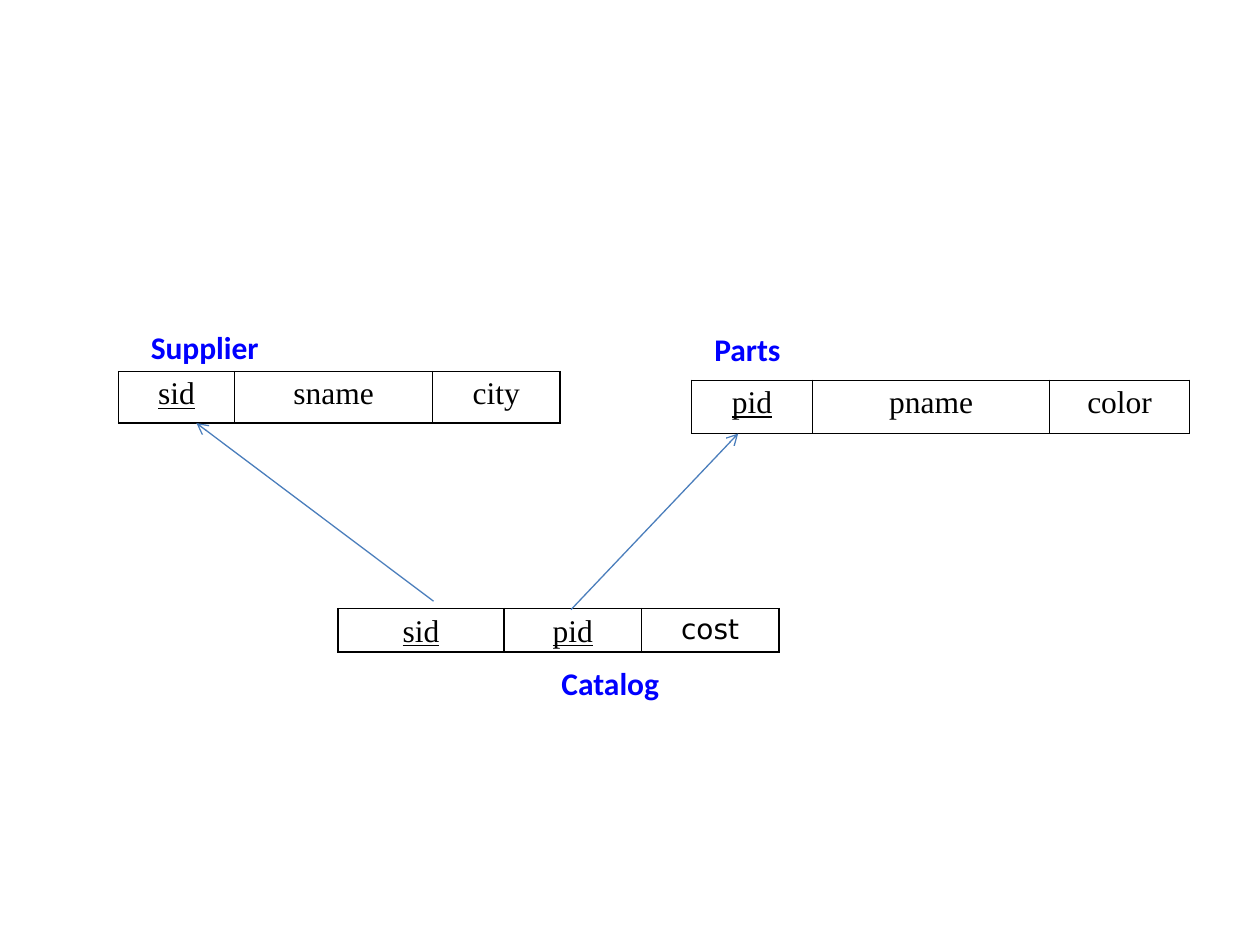
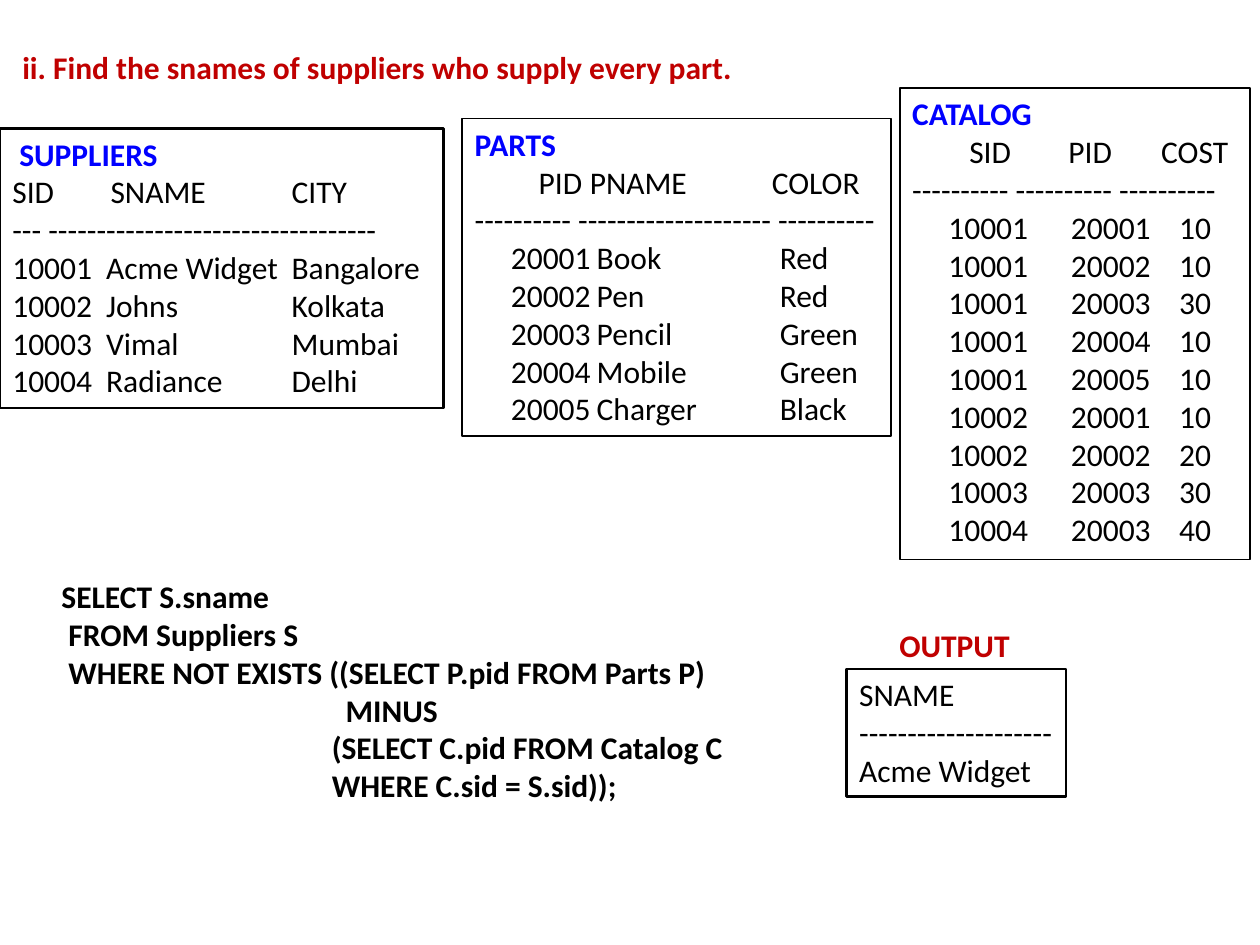
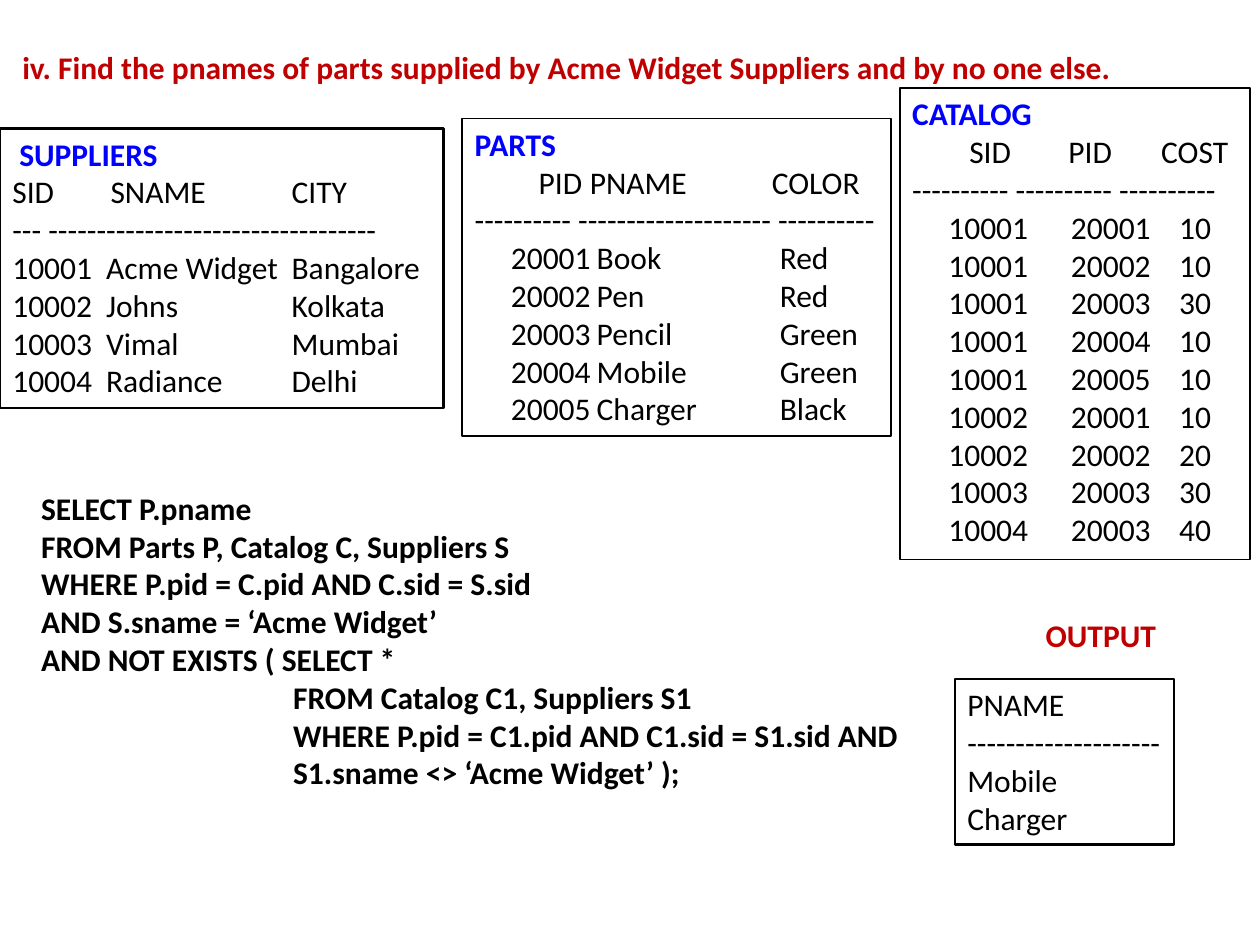
from dataclasses import dataclass

from lxml import etree
from pptx import Presentation
from pptx.dml.color import RGBColor
from pptx.enum.shapes import MSO_CONNECTOR, MSO_SHAPE
from pptx.enum.text import MSO_ANCHOR, PP_ALIGN
from pptx.oxml.ns import qn
from pptx.util import Cm, Pt

STRAIGHT = MSO_CONNECTOR.STRAIGHT
RECTANGLE = MSO_SHAPE.RECTANGLE
TOP = MSO_ANCHOR.TOP
LEFT = PP_ALIGN.LEFT
CENTER = PP_ALIGN.CENTER


@dataclass(frozen=True)
class Theme:
    """Colours, fonts and sizes shared by all slides."""
    ink: str = "000000"
    heading: str = "0000FF"
    accent: str = "C00000"
    arrow: str = "4B7EBC"
    body_font: str = "Calibri"
    field_font: str = "Times New Roman"
    odd_font: str = "DejaVu Sans"
    size: float = 18
    odd_size: float = 16
    thin: float = 1
    thick: float = 1.5
    arrow_width: float = 0.75


@dataclass(frozen=True)
class Box:
    """A region of the slide in centimetres."""
    left: float
    top: float
    width: float
    height: float

    def lengths(self):
        """Return the four lengths for a shape call."""
        return Cm(self.left), Cm(self.top), Cm(self.width), Cm(self.height)

    def offset(self, right, down, width, height):
        """Return a box placed relative to this one."""
        return Box(self.left + right, self.top + down, width, height)


@dataclass(frozen=True)
class Line:
    """One paragraph with its look, indent and tab stops."""
    text: str
    color: str = "000000"
    bold: bool = False
    indent: float = 0
    stops: tuple = ()


@dataclass(frozen=True)
class Listing:
    """A printed relation with tab stops for its header and its rows."""
    title: str
    title_indent: float
    box: Box
    border: float
    header: tuple
    header_stops: tuple
    rule: str
    rows: tuple
    row_stops: tuple
    lead: str


THEME = Theme()
CONTENT = Box(0, 0, 25.4, 19.05)
LABEL_HEIGHT = 1.02

LISTINGS = (
    Listing(
        "CATALOG", 0, Box(18.14, 1.78, 7.06, 9.5), THEME.thin,
        ("SID", "PID", "COST"), (1.15, 3.15, 5.02),
        "---------- ---------- ----------",
        (("10001", "20001", "10"), ("10001", "20002", "10"),
         ("10001", "20003", "30"), ("10001", "20004", "10"),
         ("10001", "20005", "10"), ("10002", "20001", "10"),
         ("10002", "20002", "20"), ("10003", "20003", "30"),
         ("10004", "20003", "40")),
        (0.73, 3.2, 5.38), "\t"),
    Listing(
        "PARTS", 0, Box(9.32, 2.39, 8.64, 6.4), THEME.thin,
        ("PID", "PNAME", "COLOR"), (1.29, 2.32, 5.99),
        "---------- -------------------- ----------",
        (("20001", "Book", "Red"), ("20002", "Pen", "Red"),
         ("20003", "Pencil", "Green"), ("20004", "Mobile", "Green"),
         ("20005", "Charger", "Black")),
        (0.73, 2.46, 6.15), "\t"),
    Listing(
        "SUPPLIERS", 0.14, Box(0, 2.59, 8.94, 5.64), THEME.thick,
        ("SID", "SNAME", "CITY"), (1.98, 5.63),
        "--- ----------------------------------",
        (("10001", "Acme Widget", "Bangalore"), ("10002", "Johns", "Kolkata"),
         ("10003", "Vimal", "Mumbai"), ("10004", "Radiance", "Delhi")),
        (1.89, 5.63), ""),
)

EVERY_PART_QUERY = (
    (0, "SELECT S.sname"),
    (0.14, "FROM Suppliers S"),
    (0.14, "WHERE NOT EXISTS ((SELECT P.pid FROM Parts P)"),
    (5.73, "MINUS"),
    (5.45, "(SELECT C.pid FROM Catalog C"),
    (5.45, "WHERE C.sid = S.sid));"),
)

ONLY_ACME_QUERY = (
    (0, "SELECT P.pname"),
    (0, "FROM Parts P, Catalog C, Suppliers S"),
    (0, "WHERE P.pid = C.pid AND C.sid = S.sid"),
    (0, "AND S.sname = ‘Acme Widget’"),
    (0, "AND NOT EXISTS ( SELECT *"),
    (5.08, "FROM Catalog C1, Suppliers S1"),
    (5.08, "WHERE P.pid = C1.pid AND C1.sid = S1.sid AND"),
    (5.08, "S1.sname <> ‘Acme Widget’ );"),
)


def style_font(font, color, name=THEME.body_font, size=THEME.size, bold=False):
    """Set the face, size, weight and colour of a font."""
    font.name, font.size, font.bold = name, Pt(size), bold
    font.color.rgb = RGBColor.from_string(color)


def write_lines(frame, lines):
    """Fill a text frame with one paragraph for each line."""
    frame.word_wrap = True
    frame.vertical_anchor = TOP
    frame.margin_right = 0
    for index, line in enumerate(lines):
        para = frame.add_paragraph() if index else frame.paragraphs[0]
        para.text = line.text
        para.alignment = LEFT
        properties = para._p.get_or_add_pPr()
        if line.indent:
            properties.set("marL", str(Cm(line.indent)))
            properties.set("indent", "0")
        if line.stops:
            tabs = etree.SubElement(properties, qn("a:tabLst"))
            for stop in line.stops:
                etree.SubElement(tabs, qn("a:tab"), pos=str(Cm(stop)), algn="l")
        style_font(para.font, line.color, bold=line.bold)


def add_text(page, box, lines):
    """Place plain text in a box."""
    write_lines(page.shapes.add_textbox(*box.lengths()).text_frame, lines)


def add_label(page, box, text, color):
    """Place one bold coloured line in a box."""
    add_text(page, box, [Line(text, color, True)])


def add_panel(page, box, lines, border):
    """Place text in an outlined rectangle."""
    panel = page.shapes.add_shape(RECTANGLE, *box.lengths())
    panel.shadow.inherit = False
    panel.fill.background()
    panel.line.color.rgb = RGBColor.from_string(THEME.ink)
    panel.line.width = Pt(border)
    write_lines(panel.text_frame, lines)


def add_listing(page, region, listing):
    """Place a printed relation in a region."""
    lines = [Line(listing.title, THEME.heading, True, listing.title_indent),
             Line(listing.lead + "\t".join(listing.header), stops=listing.header_stops),
             Line(listing.rule)]
    lines += [Line(listing.lead + "\t".join(row), stops=listing.row_stops)
              for row in listing.rows]
    box = listing.box
    place = region.offset(box.left, box.top, box.width, box.height)
    add_panel(page, place, lines, listing.border)


def add_output(page, box, label_offset, rows):
    """Place the result of a query with its label above."""
    add_panel(page, box, [Line(row) for row in rows], THEME.thick)
    add_label(page, box.offset(*label_offset, 3, LABEL_HEIGHT), "OUTPUT", THEME.accent)


def outline_cell(cell):
    """Clear a cell's fill and draw its four borders."""
    cell.fill.background()
    properties = cell._tc.get_or_add_tcPr()
    for index, side in enumerate(("lnL", "lnR", "lnT", "lnB")):
        border = etree.Element(qn("a:" + side), w=str(Pt(THEME.thin)))
        fill = etree.SubElement(border, qn("a:solidFill"))
        etree.SubElement(fill, qn("a:srgbClr"), val=THEME.ink)
        properties.insert(index, border)


def add_relation(page, box, name, name_offset, fields, widths, keys):
    """Place a one-row schema table with its name beside it."""
    table = page.shapes.add_table(1, len(fields), *box.lengths()).table
    table.first_row = table.horz_banding = False
    table.rows[0].height = Cm(box.height)
    for index, (field, width) in enumerate(zip(fields, widths)):
        table.columns[index].width = Cm(width)
        cell = table.cell(0, index)
        outline_cell(cell)
        cell.margin_left = cell.margin_right = Cm(0.18)
        cell.margin_top = cell.margin_bottom = 0
        para = cell.text_frame.paragraphs[0]
        para.text = field
        para.alignment = CENTER
        para.line_spacing = 1.15
        odd = field == "cost"
        style_font(para.font, THEME.ink,
                   THEME.odd_font if odd else THEME.field_font,
                   THEME.odd_size if odd else THEME.size)
        para.font.underline = field in keys
    add_label(page, box.offset(*name_offset, 3.2, LABEL_HEIGHT), name, THEME.heading)


def add_reference(page, start, end):
    """Draw an arrow from a foreign key to the key it refers to."""
    arrow = page.shapes.add_connector(STRAIGHT, *map(Cm, start + end))
    arrow.line.color.rgb = RGBColor.from_string(THEME.arrow)
    arrow.line.width = Pt(THEME.arrow_width)
    properties = arrow._element.spPr
    etree.SubElement(properties.find(qn("a:ln")), qn("a:tailEnd"), type="arrow")
    etree.SubElement(properties, qn("a:effectLst"))


def add_schema_page(deck, region):
    """Build the slide that shows the three relations and their references."""
    page = deck.slides.add_slide(deck.slide_layouts[6])
    add_relation(page, region.offset(2.39, 7.49, 8.9, 1.04), "Supplier", (0.4, -1.01),
                 ("sid", "sname", "city"), (2.34, 3.99, 2.57), ("sid",))
    add_relation(page, region.offset(13.94, 7.67, 10.04, 1.07), "Parts", (0.21, -1.14),
                 ("pid", "pname", "color"), (2.44, 4.78, 2.82), ("pid",))
    add_relation(page, region.offset(6.81, 12.27, 8.89, 0.84), "Catalog", (4.26, 0.99),
                 ("sid", "pid", "cost"), (3.35, 2.77, 2.77), ("sid", "pid"))
    for start, end in (((8.74, 12.12), (3.96, 8.53)), ((11.51, 12.29), (14.88, 8.74))):
        add_reference(page, start, end)


def add_query_page(deck, region, question, query, query_box, output):
    """Build a slide with a question, its relations, its query and the result."""
    page = deck.slides.add_slide(deck.slide_layouts[6])
    add_label(page, region.offset(0.2, 0.84, 24.56, LABEL_HEIGHT), question, THEME.accent)
    add_text(page, region.offset(*query_box),
             [Line(text, bold=True, indent=indent) for indent, text in query])
    for listing in LISTINGS:
        add_listing(page, region, listing)
    output_box, label_offset, rows = output
    add_output(page, region.offset(*output_box), label_offset, rows)


def main():
    """Build and save the deck."""
    deck = Presentation()
    deck.slide_width, deck.slide_height = Cm(CONTENT.width), Cm(CONTENT.height)
    add_schema_page(deck, CONTENT)
    rule = "-" * 20
    add_query_page(
        deck, CONTENT, "ii. Find the snames of suppliers who supply every part.",
        EVERY_PART_QUERY, (0.99, 11.51, 14.05, 4.88),
        ((17.07, 13.49, 4.42, 2.57), (0.81, -0.99), ("SNAME", rule, "Acme Widget")))
    add_query_page(
        deck, CONTENT,
        "iv. Find the pnames of parts supplied by Acme Widget Suppliers and by no one else.",
        ONLY_ACME_QUERY, (0.58, 9.73, 17.96, 7.19),
        ((19.25, 13.69, 4.42, 3.33), (1.58, -1.4), ("PNAME", rule, "Mobile", "Charger")))
    deck.save("out.pptx")


if __name__ == "__main__":
    main()
